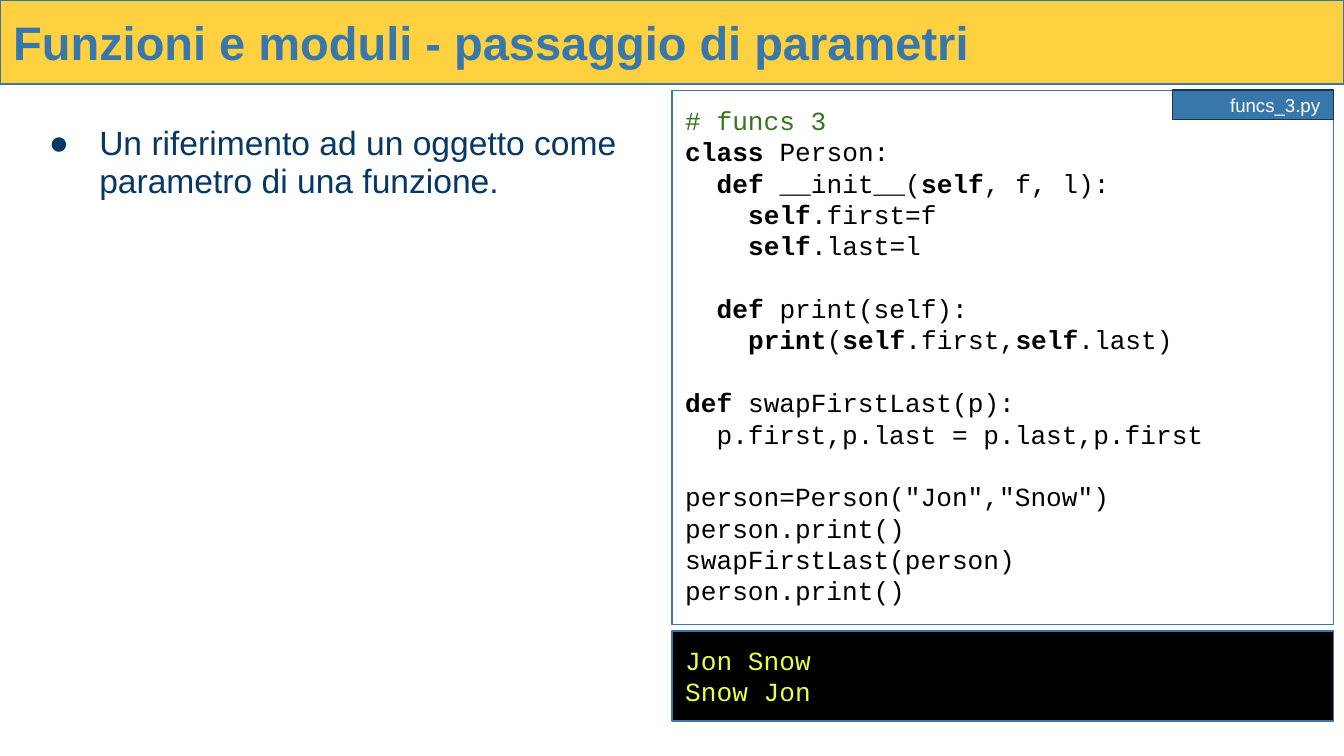
from lxml import etree
from pptx import Presentation
from pptx.dml.color import RGBColor
from pptx.enum.shapes import MSO_SHAPE
from pptx.enum.text import MSO_ANCHOR, PP_ALIGN
from pptx.oxml.ns import qn
from pptx.util import Pt

PX = 4572  # 200 px to the inch
RECT = MSO_SHAPE.RECTANGLE
TOP, MIDDLE = MSO_ANCHOR.TOP, MSO_ANCHOR.MIDDLE
LEFT, RIGHT = PP_ALIGN.LEFT, PP_ALIGN.RIGHT
SANS, MONO = "Arial", "Courier New"
COLORS = {
    "blue": "3777AB", "yellow": "FFD141", "navy": "073763", "edge": "19364E",
    "comment": "38761D", "output": "EEFF41", "black": "000000", "white": "FFFFFF",
}

# Asterisks enclose the bold parts.
CODE = """# funcs 3
*class* Person:
  *def* __init__(*self*, f, l):
    *self*.first=f
    *self*.last=l

  *def* print(self):
    *print*(*self*.first,*self*.last)

*def* swapFirstLast(p):
  p.first,p.last = p.last,p.first

person=Person("Jon","Snow")
person.print()
swapFirstLast(person)
person.print()"""


def rgb(name):
    return RGBColor.from_string(COLORS[name])


def write(tf, text, font=SANS, size=14, color="black", bold=False,
          align=LEFT, anchor=TOP):
    """Write one paragraph per line; asterisks toggle bold, # starts a comment."""
    tf.word_wrap = True
    tf.vertical_anchor = anchor
    tf.margin_left = tf.margin_right = tf.margin_top = tf.margin_bottom = 20 * PX
    for i, line in enumerate(text.split("\n")):
        p = tf.add_paragraph() if i else tf.paragraphs[0]
        p.alignment = align
        if not line:
            end = etree.SubElement(p._p, qn("a:endParaRPr"), sz=str(size * 100))
            etree.SubElement(end, qn("a:latin"), typeface=font)
        for j, part in enumerate(line.split("*")):
            if not part:
                continue
            r = p.add_run()
            r.text = part
            r.font.name = font
            r.font.size = Pt(size)
            r.font.bold = bold or j % 2 == 1
            r.font.color.rgb = rgb("comment" if line.startswith("#") else color)


class Deck:
    def __init__(self, width, height):
        self.prs = Presentation()
        self.prs.slide_width, self.prs.slide_height = width * PX, height * PX
        self.s = self.prs.slides.add_slide(self.prs.slide_layouts[6])

    def box(self, x, y, w, h, text, fill=None, line="blue", **fmt):
        sp = self.s.shapes.add_shape(RECT, x * PX, y * PX, w * PX, h * PX)
        sp.shadow.inherit = False
        if fill:
            sp.fill.solid()
            sp.fill.fore_color.rgb = rgb(fill)
        else:
            sp.fill.background()
        sp.line.color.rgb = rgb(line)
        sp.line.width = Pt(0.75)
        write(sp.text_frame, text, **fmt)

    def bullets(self, x, y, w, h, text, color, size):
        tf = self.s.shapes.add_textbox(x * PX, y * PX, w * PX, h * PX).text_frame
        write(tf, text, color=color, size=size)
        for p in tf.paragraphs:
            p.line_spacing = 0.95
            pPr = p._p.get_or_add_pPr()
            pPr.set("marL", str(100 * PX))
            pPr.set("indent", str(-75 * PX))
            bu_color = etree.SubElement(pPr, qn("a:buClr"))
            etree.SubElement(bu_color, qn("a:srgbClr"), val=COLORS[color])
            etree.SubElement(pPr, qn("a:buSzPts"), val=str(size * 100))
            etree.SubElement(pPr, qn("a:buFont"), typeface=SANS)
            etree.SubElement(pPr, qn("a:buChar"), char="●")


def main():
    deck = Deck(2000, 1125)
    deck.box(0, 0, 2000, 125, "Funzioni e moduli - passaggio di parametri",
             fill="yellow", size=25.2, color="blue", bold=True)
    deck.bullets(28, 166, 958, 948,
                 "Un riferimento ad un oggetto come parametro di una funzione.",
                 "navy", size=18)
    deck.box(1000, 135, 984, 794, CODE, font=MONO)
    deck.box(1745, 134, 239, 44, "funcs_3.py", fill="blue", line="edge", size=10,
             color="white", align=RIGHT, anchor=MIDDLE)
    deck.box(1000, 939, 984, 134, "Jon Snow\nSnow Jon", fill="black", font=MONO,
             color="output")
    deck.prs.save("out.pptx")


if __name__ == "__main__":
    main()
